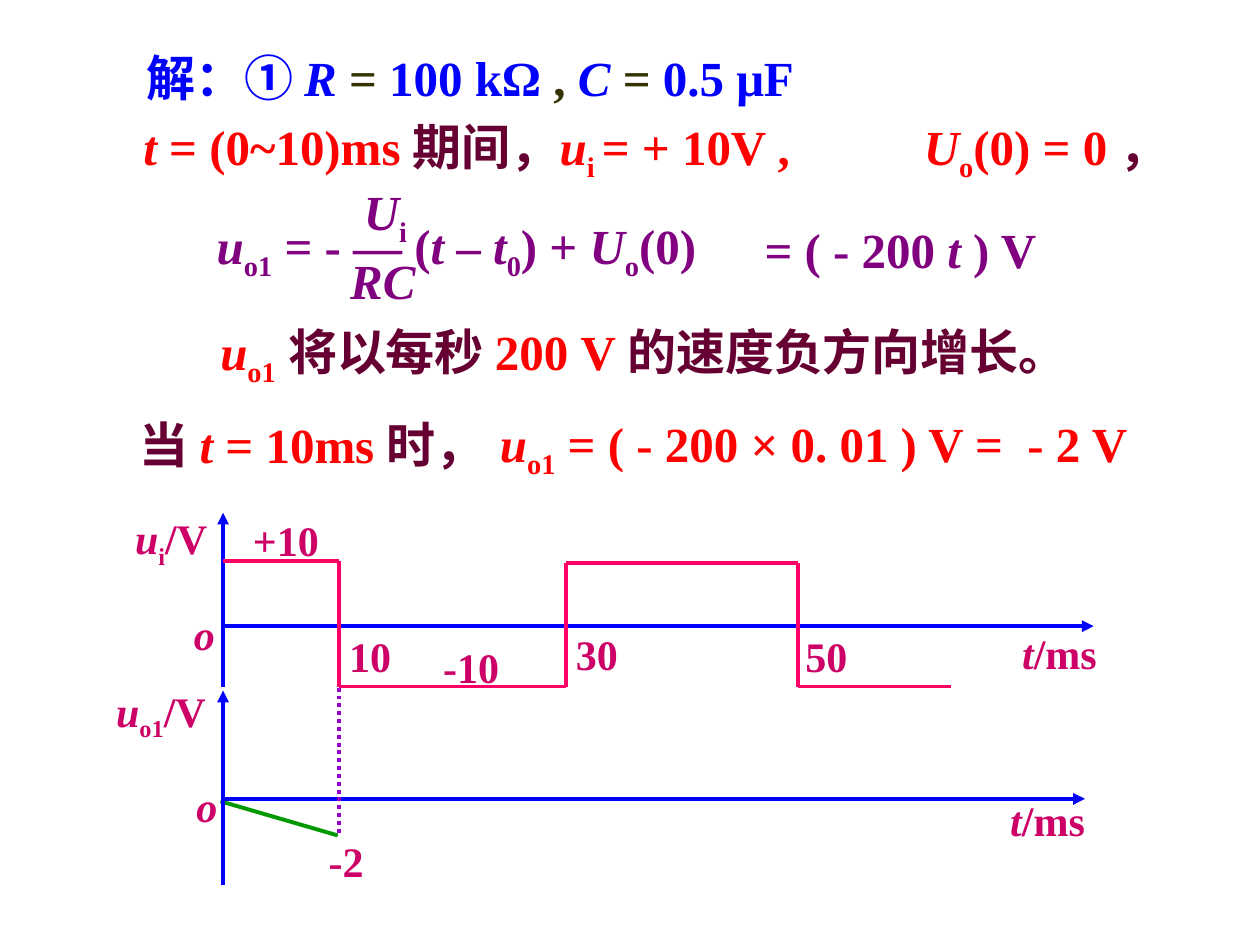
from itertools import pairwise

from lxml.etree import SubElement
from pptx import Presentation
from pptx.dml.color import RGBColor
from pptx.enum.dml import MSO_LINE
from pptx.enum.shapes import MSO_CONNECTOR
from pptx.enum.text import MSO_AUTO_SIZE
from pptx.oxml.ns import qn
from pptx.util import Pt

FONT = "Times New Roman"
RED, MAROON, PURPLE = "FF0000", "660033", "800080"
BLUE, OLIVE, CRIMSON = "0000FF", "333300", "CC0066"
WAVE, RAMP, GUIDE = "FF0066", "009900", "9900CC"

# A run is (text, style, colour): style is "", "italic" or "sub"; the colour
# may be left out, and then the colour of the whole line is used.
# Each entry: left, top, width, height, colour, runs
SOLUTION = [
    (76.5, 23.5, 510.5, 41, BLUE, [
        ("解：① ", ""), ("R", "italic"), (" = ", "", OLIVE), ("100 kΩ", ""),
        (" , ", "", OLIVE), ("C ", "italic"), ("=", "", OLIVE), (" 0.5 μF", "")]),
    (74.9, 63, 645, 45.4, RED, [
        ("t", "italic"), (" = (0~10)ms ", ""), ("期间，", "", MAROON),
        ("u", "italic"), ("i ", "sub"), ("= + 10V ,\t", ""), ("U", "italic"),
        ("o", "sub"), ("(0) = 0 ", ""), ("，", "", MAROON)]),
    (116.8, 119.5, 297.4, 45.4, PURPLE, [
        ("u", "italic"), ("o1", "sub"), (" = - — (", ""), ("t", "italic"),
        (" – ", ""), ("t", "italic"), ("0", "sub"), (") + ", ""),
        ("U", "italic"), ("o", "sub"), ("(0)", "")]),
    (429.8, 121.7, 234, 41, PURPLE, [
        ("= ( - 200 ", ""), ("t", "italic"), (" ) V", "")]),
    (118.8, 180, 563.8, 45.4, RED, [
        ("u", "italic"), ("o1", "sub"), (" 将以每秒 ", "", MAROON),
        ("200 V ", ""), ("的速度负方向增长。", "", MAROON)]),
    (72.7, 233.6, 270.7, 74.9, RED, [
        ("当 ", "", MAROON), ("t ", "italic"), ("= 10ms ", ""), ("时，", "", MAROON)]),
    (278.6, 232.6, 441.4, 45.4, RED, [
        ("u", "italic"), ("o1", "sub"), (" = ( - 200 × 0. 01 ) V =  - 2 V", "")]),
]
FRACTION = [
    (200.9, 100.1, 38.9, 45.4, PURPLE, [("U", "italic"), ("i", "sub")]),
    (193, 139.7, 51.8, 41, PURPLE, [("RC", "italic")]),
]
INITIAL_VALUE_TAB = 446

# Each entry: left, top, width, runs
TIME = [("t", "italic"), ("/ms", "")]
ORIGIN = [("o", "italic")]
CHART_LABELS = [
    (70.1, 289.4, 56, [("u", "italic"), ("i", "sub"), ("/V", "")]),
    (59.3, 388.1, 66, [("u", "italic"), ("o1", "sub"), ("/V", "")]),
    (137.5, 290.2, 52.2, [("+10", "")]),
    (246.2, 362.9, 46.5, [("-10", "")]),
    (180.7, 473.8, 34.6, [("-2", "")]),
    (192.4, 356.6, 38.5, [("10", "")]),
    (322, 355.9, 38.5, [("30", "")]),
    (453.1, 356.6, 38.5, [("50", "")]),
    (103.7, 344.2, 26.4, ORIGIN),
    (105.1, 442.6, 26.4, ORIGIN),
    (577, 355.2, 57.3, TIME),
    (570.2, 450.2, 57.3, TIME),
]

AXIS_X, T10, T30, T50, WAVE_END = 127.5, 193.7, 323.3, 456.2, 543.6
FIRST_HIGH, HIGH, LOW = 320.4, 321.8, 392.3
AXES = [
    ((AXIS_X, 357.8), (625, 357.8)),
    ((AXIS_X, LOW), (AXIS_X, 293)),
    ((126, 456.5), (620, 456.5)),
    ((AXIS_X, 506), (AXIS_X, 394.6)),
]
SQUARE_WAVE = [
    (AXIS_X, FIRST_HIGH), (T10, FIRST_HIGH), (T10, LOW), (T30, LOW),
    (T30, HIGH), (T50, HIGH), (T50, LOW), (WAVE_END, LOW),
]
OUTPUT_RAMP = ((126, 457.9), (193, 477.4))
T10_GUIDE = ((T10, 393), (T10, 477.4))


def color(value):
    return RGBColor.from_string(value)


def add_text(page, place, runs, *, ink, size=28, wrap=True, tab=None):
    """Add one line of runs; without wrap the box fits its text."""
    box = page.shapes.add_textbox(*map(Pt, place))
    frame = box.text_frame
    frame.word_wrap = wrap
    if not wrap:
        frame.auto_size = MSO_AUTO_SIZE.SHAPE_TO_FIT_TEXT
    para = frame.paragraphs[0]
    if tab:
        tabs = SubElement(para._p.get_or_add_pPr(), qn("a:tabLst"))
        SubElement(tabs, qn("a:tab"), pos=str(Pt(tab)), algn="l")
    for text, style, *own_ink in runs:
        span = para.add_run()
        span.text = text
        font = span.font
        font.name, font.size, font.bold = FONT, Pt(size), True
        font.italic = style == "italic"
        font.color.rgb = color(own_ink[0] if own_ink else ink)
        if style == "sub":
            span._r.get_or_add_rPr().set("baseline", "-25000")


def add_line(page, start, end, ink, arrow=False, dash=None):
    line = page.shapes.add_connector(MSO_CONNECTOR.STRAIGHT, *map(Pt, (*start, *end)))
    line.line.color.rgb = color(ink)
    line.line.width = Pt(2.25)
    if dash:
        line.line.dash_style = dash
    if arrow:
        SubElement(line.line._get_or_add_ln(), qn("a:tailEnd"), type="triangle")
    SubElement(line._element.spPr, qn("a:effectLst"))


def main():
    deck = Presentation()
    deck.slide_width, deck.slide_height = Pt(720), Pt(540)
    page = deck.slides.add_slide(deck.slide_layouts[6])

    for *place, ink, runs in SOLUTION:
        has_tab = any("\t" in run[0] for run in runs)
        add_text(page, place, runs, ink=ink, tab=INITIAL_VALUE_TAB if has_tab else None)
    for *place, ink, runs in FRACTION:
        add_text(page, place, runs, ink=ink, wrap=False)

    add_line(page, *OUTPUT_RAMP, RAMP)
    for start, end in AXES:
        add_line(page, start, end, BLUE, arrow=True)
    for start, end in pairwise(SQUARE_WAVE):
        add_line(page, start, end, WAVE)
    add_line(page, *T10_GUIDE, GUIDE, dash=MSO_LINE.ROUND_DOT)

    for left, top, width, runs in CHART_LABELS:
        height = 40 if any(run[1] == "sub" for run in runs) else 36
        add_text(page, (left, top, width, height), runs, ink=CRIMSON, size=24, wrap=False)

    deck.save("out.pptx")


if __name__ == "__main__":
    main()
